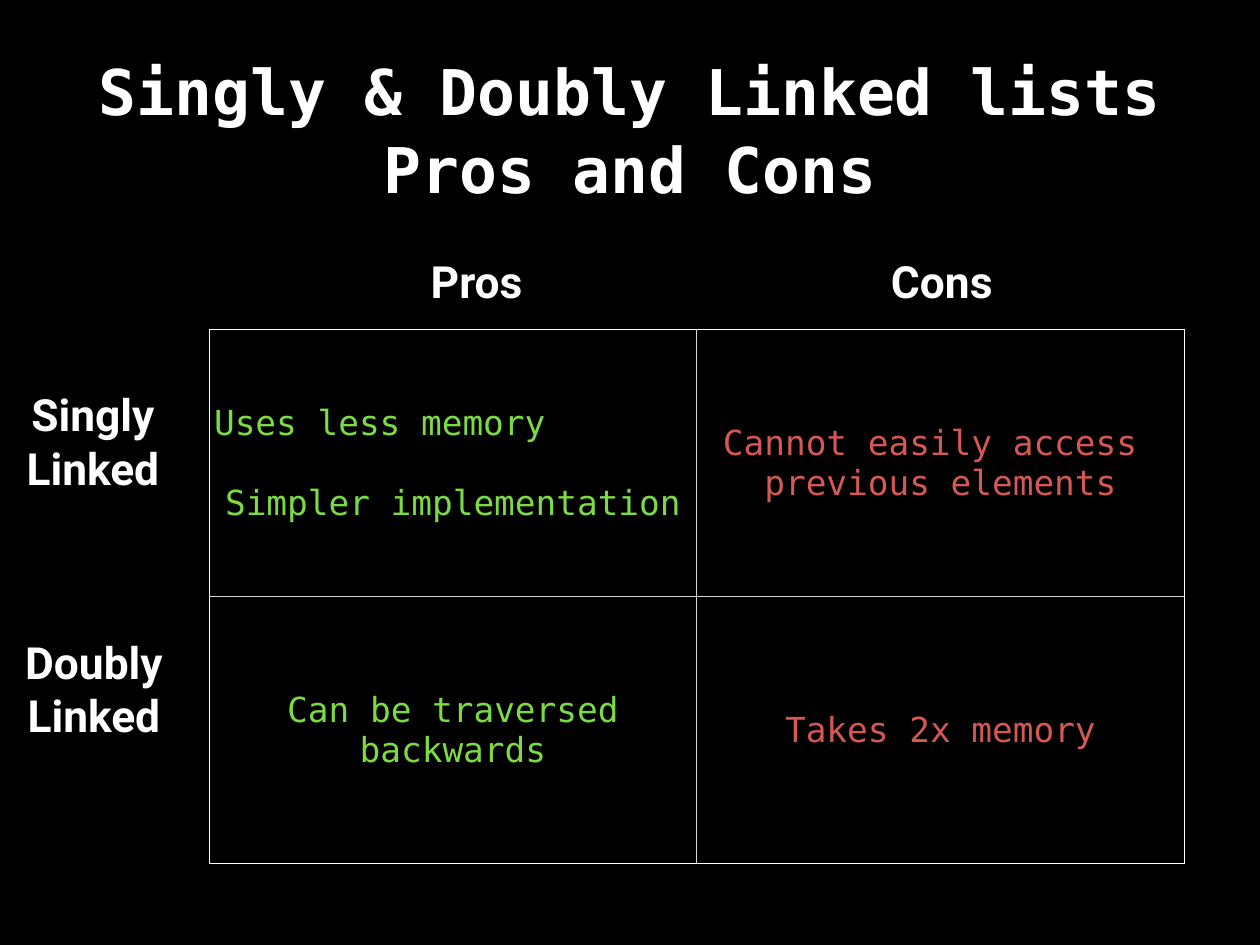
import lxml.etree
import pptx
import pptx.dml.color
import pptx.enum.text
import pptx.oxml.ns
import pptx.util

Pt = pptx.util.Pt
ALIGN = pptx.enum.text.PP_ALIGN
MIDDLE = pptx.enum.text.MSO_ANCHOR.MIDDLE
AUTO_SIZE = pptx.enum.text.MSO_AUTO_SIZE

MONO, SANS = "DejaVu Sans Mono", "Roboto"
BLACK, WHITE, GREY = "000000", "FFFFFF", "D6D7D6"
GREEN, RED = "7BDB45", "D45854"
INSET = 4


def colour(value):
    return pptx.dml.color.RGBColor.from_string(value)


def set_insets(target):
    target.margin_left = target.margin_right = Pt(INSET)
    target.margin_top = target.margin_bottom = Pt(INSET)
    target.vertical_anchor = MIDDLE


def write(frame, text, face, size, shade, bold=False):
    frame.text = text
    for para in frame.paragraphs:
        para.alignment = ALIGN.CENTER
        for span in para.runs:
            span.font.name = face
            span.font.size = Pt(size)
            span.font.bold = bold
            span.font.color.rgb = colour(shade)


def add_title(page, text):
    title = page.shapes.title
    title.left, title.top, title.width, title.height = Pt(75), Pt(20), Pt(874), Pt(170)
    frame = title.text_frame
    set_insets(frame)
    frame.word_wrap = True
    frame.auto_size = AUTO_SIZE.NONE
    write(frame, text, MONO, 51.2, WHITE, bold=True)
    frame.paragraphs[1].space_before = Pt(2)


def add_label(page, text, left, top, width, height):
    box = page.shapes.add_textbox(Pt(left), Pt(top), Pt(width), Pt(height))
    frame = box.text_frame
    set_insets(frame)
    frame.word_wrap = False
    frame.auto_size = AUTO_SIZE.SHAPE_TO_FIT_TEXT
    write(frame, text, SANS, 36, WHITE, bold=True)


def set_borders(cell, shades):
    properties = cell._tc.get_or_add_tcPr()
    for index, (side, shade) in enumerate(shades.items()):
        line = lxml.etree.Element(pptx.oxml.ns.qn(f"a:ln{side}"), w=str(Pt(1)))
        fill = lxml.etree.SubElement(line, pptx.oxml.ns.qn("a:solidFill"))
        lxml.etree.SubElement(fill, pptx.oxml.ns.qn("a:srgbClr"), val=shade)
        properties.insert(index, line)


def add_grid(page, rows, shades):
    frame = page.shapes.add_table(2, 2, Pt(170), Pt(268), Pt(792.4), Pt(434))
    table = frame.table
    table.first_row = table.horz_banding = False
    for column in table.columns:
        column.width = Pt(396.2)
    for row_index, row in enumerate(rows):
        table.rows[row_index].height = Pt(217)
        for column_index, text in enumerate(row):
            cell = table.cell(row_index, column_index)
            set_insets(cell)
            write(cell.text_frame, text, MONO, 28, shades[column_index])
            cell.fill.solid()
            cell.fill.fore_color.rgb = colour(BLACK)
            # White outside, grey between the cells
            set_borders(cell, {
                "L": GREY if column_index else WHITE,
                "R": WHITE if column_index else GREY,
                "T": GREY if row_index else WHITE,
                "B": WHITE if row_index else GREY,
            })
    return table


def main():
    deck = pptx.Presentation()
    deck.slide_width, deck.slide_height = Pt(1024), Pt(768)
    page = deck.slides.add_slide(deck.slide_layouts[5])
    page.background.fill.solid()
    page.background.fill.fore_color.rgb = colour(BLACK)

    add_title(page, "Singly & Doubly Linked lists\nPros and Cons")

    # Pros and cons of each list
    table = add_grid(page, [
        ["Uses less memory\nSimpler implementation",
         "Cannot easily access \vprevious elements"],
        ["Can be traversed backwards", "Takes 2x memory"],
    ], [GREEN, RED])
    memory, simplicity = table.cell(0, 0).text_frame.paragraphs
    memory.alignment = ALIGN.LEFT
    simplicity.space_before = Pt(32.5)

    # Column and row headings
    add_label(page, "Pros", 342.7, 203, 89.3, 51)
    add_label(page, "Cons", 715.7, 203, 99.4, 51)
    add_label(page, "Singly\nLinked", 12.2, 311, 126.7, 94.3)
    add_label(page, "Doubly\nLinked", 5.8, 512, 141.1, 94.3)

    deck.save("out.pptx")


if __name__ == "__main__":
    main()
